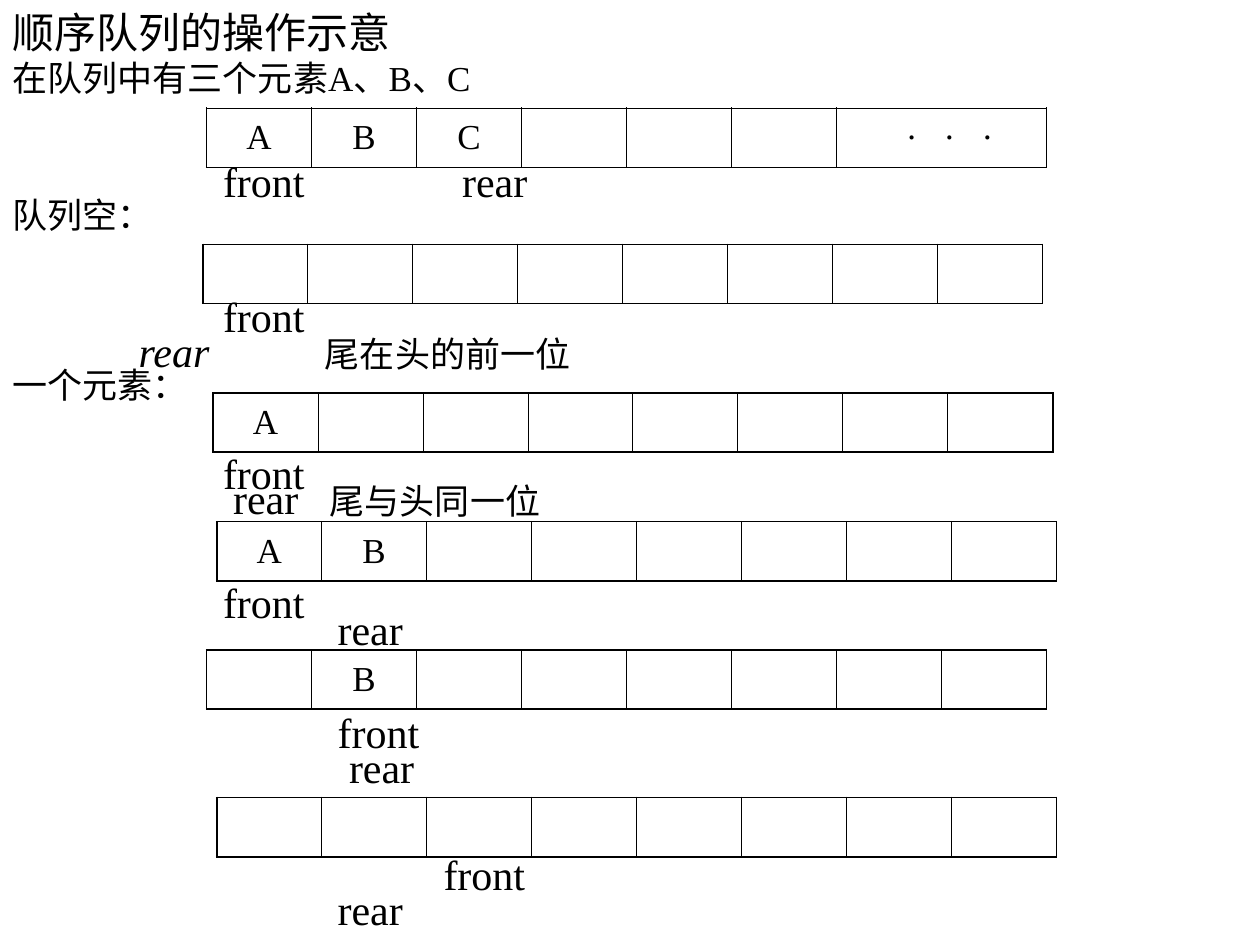
"""Build a slide that traces a sequential queue through six states."""
from dataclasses import dataclass

from pptx import Presentation, util as u
from pptx.dml.color import RGBColor
from pptx.enum import text as t
from pptx.oxml import xmlchemy as x

BLACK = RGBColor(0, 0, 0)
FONT = "Times New Roman"
THIN, THICK = 0.45, 1.08
CELL = 5 / 6
HEIGHT = 0.47
PITCH = 14


@dataclass
class Word:
    text: str
    size: int = 24
    slant: bool = False
    track: int = 0


@dataclass
class Line:
    gap: float
    left: float
    words: list[Word]


@dataclass
class Queue:
    left: float
    top: float
    items: tuple[str, ...] = ()
    dots: bool = False


FRONT, REAR = Word("front"), Word("rear")

LINES = [
    Line(0, 0, [Word("在队列中有三个元素A、B、C", 20)]),
    Line(47.4, 1.67, [FRONT, Word(" ", track=84), REAR]),
    Line(2.6, 0, [Word("队列空：", 20)]),
    Line(46.2, 1.67, [FRONT]),
    Line(6, 1, [Word("rear", slant=True), Word(" ", track=60), Word("尾在头的前一位", 20)]),
    Line(2.8, 0, [Word("一个元素：", 20)]),
    Line(38.7, 1.67, [FRONT]),
    Line(0.5, 1.75, [REAR, Word(" ", track=12), Word("尾与头同一位", 20)]),
    Line(45.5, 1.67, [FRONT]),
    Line(1.5, 2.58, [REAR]),
    Line(45, 2.58, [FRONT]),
    Line(6, 2.67, [REAR]),
    Line(47, 3.42, [FRONT]),
    Line(6, 2.58, [REAR]),
]

QUEUES = [
    Queue(1.64, 0.86, ("A", "B", "C"), dots=True),
    Queue(1.61, 1.94),
    Queue(1.69, 3.12, ("A",)),
    Queue(1.72, 4.14, ("A", "B")),
    Queue(1.64, 5.16, ("", "B")),
    Queue(1.72, 6.33),
]


def put(para, text: str, *, size: int = 20, slant: bool = False, track: int = 0,
        align=t.PP_ALIGN.LEFT) -> None:
    para.alignment = align
    run = para.add_run()
    run.text = text
    font = run.font
    font.name, font.size, font.italic = FONT, u.Pt(size), slant
    font.color.rgb = BLACK
    if track:
        run._r.get_or_add_rPr().set("spc", str(track * 100))


def add(node, tag: str, **attrs):
    child = node.makeelement(x.qn(tag), {key: str(val) for key, val in attrs.items()})
    node.append(child)
    return child


def place(shape, left: float, top: float, width: float, height: float) -> None:
    shape.left, shape.top = u.Inches(left), u.Inches(top)
    shape.width, shape.height = u.Inches(width), u.Inches(height)


def write(para, line: Line) -> None:
    para.line_spacing = u.Pt(PITCH)
    para.space_before, para.space_after = u.Pt(line.gap), u.Pt(0)
    props = para._p.get_or_add_pPr()
    props.set("marL", str(u.Inches(line.left)))
    props.set("indent", "0")
    add(props, "a:buNone")
    for word in line.words:
        put(para, word.text, size=word.size, slant=word.slant, track=word.track)


def edge(cell, first: bool, last: bool) -> None:
    props = cell._tc.get_or_add_tcPr()
    widths = {"L": THICK if first else THIN, "R": THICK if last else THIN, "T": THICK, "B": THICK}
    for side, width in widths.items():
        rule = add(props, f"a:ln{side}", w=u.Pt(width))
        add(add(rule, "a:solidFill"), "a:srgbClr", val=BLACK)
    cell.fill.background()


def draw(slide, queue: Queue) -> None:
    widths = [CELL] * 6 + ([CELL * 2] if queue.dots else [CELL] * 2)
    count = len(widths)
    frame = slide.shapes.add_table(1, count, u.Inches(queue.left), u.Inches(queue.top),
                                   u.Inches(sum(widths)), u.Inches(HEIGHT))
    table = frame.table
    table.first_row = table.horz_banding = False
    texts = list(queue.items) + [""] * (count - len(queue.items))
    if queue.dots:
        texts[-1] = "·   ·   ·"
        table.cell(0, count - 1).margin_left = u.Inches(0.23)
    for col, (width, text) in enumerate(zip(widths, texts)):
        table.columns[col].width = u.Inches(width)
        cell = table.cell(0, col)
        cell.vertical_anchor = t.MSO_ANCHOR.MIDDLE
        edge(cell, col == 0, col == count - 1)
        if text:
            put(cell.text_frame.paragraphs[0], text, align=t.PP_ALIGN.CENTER)


def main() -> None:
    deck = Presentation()
    deck.slide_width, deck.slide_height = u.Inches(10), u.Inches(7.5)
    slide = deck.slides.add_slide(deck.slide_layouts[1])
    title, body = slide.placeholders
    place(title, 0, 0, 8.5, 0.5)
    title.text_frame.auto_size = t.MSO_AUTO_SIZE.NONE
    put(title.text_frame.paragraphs[0], "顺序队列的操作示意", size=24)
    place(body, 0, 0.5, 9.67, 7)
    frame = body.text_frame
    frame.auto_size = t.MSO_AUTO_SIZE.NONE
    frame.margin_top = u.Inches(0.09)
    for row, line in enumerate(LINES):
        write(frame.add_paragraph() if row else frame.paragraphs[0], line)
    for queue in QUEUES:
        draw(slide, queue)
    deck.save("out.pptx")


if __name__ == "__main__":
    main()
